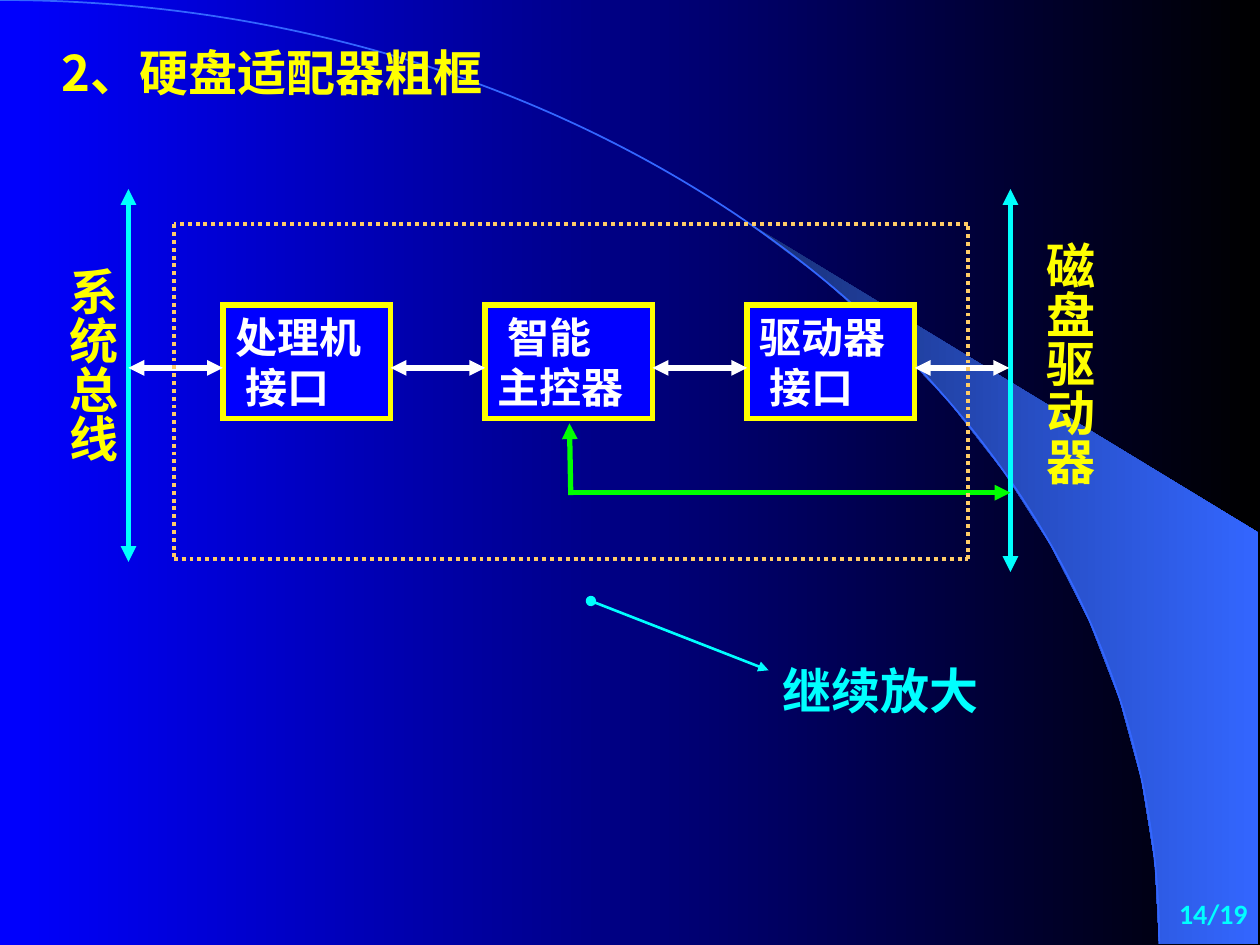
"""Build the slide that outlines the blocks of a hard disk adapter."""
from math import cos, radians, sin

from lxml import etree
from pptx import Presentation
from pptx.dml.color import RGBColor
from pptx.enum.dml import MSO_LINE
from pptx.enum.shapes import MSO_CONNECTOR, MSO_SHAPE
from pptx.enum.text import MSO_ANCHOR, PP_ALIGN
from pptx.oxml.ns import qn
from pptx.util import Inches, Pt

STRAIGHT = MSO_CONNECTOR.STRAIGHT
RECTANGLE = MSO_SHAPE.RECTANGLE
DOTTED = MSO_LINE.ROUND_DOT
TOP, MIDDLE = MSO_ANCHOR.TOP, MSO_ANCHOR.MIDDLE
LEFT, CENTER, RIGHT = PP_ALIGN.LEFT, PP_ALIGN.CENTER, PP_ALIGN.RIGHT
CJK, SERIF, SANS = "Noto Sans CJK SC", "Times New Roman", "Calibri"
YELLOW, CYAN, WHITE, BLUE = "FFFF00", "00FFFF", "FFFFFF", "0000FF"
GREEN, ORANGE, ARC_BLUE = "00FF00", "FFCC66", "3366FF"
rgb = RGBColor.from_string


def write(shape, lines, size, font, color, align=LEFT, anchor=TOP, vertical=False, wrap=True):
    """Fill a shape with (text, indent) lines in one format."""
    frame = shape.text_frame
    frame.text = "\n".join(text for text, _ in lines)
    side, end = Inches(0.1), Inches(0.05)
    if vertical:
        side = Inches(0.05)
        end = int((shape.height - Inches(0.39) * len(frame.text)) / 2)
        frame._txBody.bodyPr.set("vert", "eaVert")
    layout = {"word_wrap": wrap, "vertical_anchor": anchor,
              "margin_left": side, "margin_right": side,
              "margin_top": end, "margin_bottom": end}
    for key, value in layout.items():
        setattr(frame, key, value)
    for paragraph, (_, indent) in zip(frame.paragraphs, lines):
        paragraph.alignment = align
        paragraph.space_before = Pt(0)
        if indent:
            paragraph._p.get_or_add_pPr().set("marL", str(Inches(indent)))
        run_font = paragraph.runs[0].font
        for key, value in {"size": Pt(size), "name": font, "bold": True}.items():
            setattr(run_font, key, value)
        run_font.color.rgb = rgb(color)
        etree.SubElement(run_font._element, qn("a:ea"), typeface=CJK)


def connect(start, end, color, width, head=None, tail=None, dash=None):
    """Draw a straight line with optional ends and dashes."""
    link = slide.shapes.add_connector(STRAIGHT, *map(Inches, start + end))
    link.line.color.rgb = rgb(color)
    link.line.width = Pt(width)
    if dash:
        link.line.dash_style = dash
    for tag, kind in (("a:headEnd", head), ("a:tailEnd", tail)):
        if kind:
            etree.SubElement(link.line._ln, qn(tag), type=kind)
    etree.SubElement(link._element.spPr, qn("a:effectLst"))


presentation = Presentation()
presentation.slide_width, presentation.slide_height = Inches(10), Inches(7.5)
slide = presentation.slides.add_slide(presentation.slide_layouts[5])

ARC_WIDTH, ARC_HEIGHT = 9.2, 7.49
beam_edge = [(ARC_WIDTH * sin(radians(a)), ARC_HEIGHT * (1 - cos(radians(a))))
             for a in range(40, 91, 5)]
beam_points = beam_edge + [(9.99, ARC_HEIGHT), (9.99, 4.23)]
outlines = []
for points, closed in ((beam_points, True), ([(0, 0), (ARC_WIDTH, ARC_HEIGHT)], False)):
    start, *others = [(Inches(x), Inches(y)) for x, y in points]
    builder = slide.shapes.build_freeform(*start)
    builder.add_line_segments(others, close=closed)
    outlines.append(builder.convert_to_shape())
    outlines[-1].shadow.inherit = False
beam, horizon = outlines
beam.line.fill.background()
horizon.fill.background()
horizon.line.color.rgb = rgb(ARC_BLUE)
horizon.line.width = Pt(1)
curve = horizon._element.spPr.find(".//" + qn("a:lnTo"))
curve.tag = qn("a:cubicBezTo")
for i, (x, y) in enumerate([(5.08, 0), (ARC_WIDTH, 3.35)]):
    curve.insert(i, etree.Element(qn("a:pt"), x=str(Inches(x)), y=str(Inches(y))))

for fill, colors in ((slide.background.fill, (BLUE, "000000")),
                     (beam.fill, ("182F76", ARC_BLUE))):
    fill.gradient()
    fill.gradient_angle = 0
    for stop, color in zip(fill.gradient_stops, colors):
        stop.color.rgb = rgb(color)

title = slide.shapes.title
title._element.getparent().append(title._element)
for key, value in {"left": 0.39, "top": 0.29, "width": 5, "height": 0.57}.items():
    setattr(title, key, Inches(value))
write(title, [("2、硬盘适配器粗框", 0)], 28, CJK, YELLOW)

BLOCK_LEFT, BLOCK_WIDTH, BLOCK_PITCH = 1.77, 1.33, 2.08
blocks = [[("处理机", 0), ("接口", 0.08)],
          [("智能", 0.08), ("主控器", 0)],
          [("驱动器", 0), ("接口", 0.08)]]
for i, lines in enumerate(blocks):
    block = slide.shapes.add_shape(RECTANGLE, Inches(BLOCK_LEFT + i * BLOCK_PITCH),
                                   Inches(2.42), Inches(BLOCK_WIDTH), Inches(0.9))
    block.shadow.inherit = False
    block.fill.solid()
    block.fill.fore_color.rgb = rgb(BLUE)
    block.line.color.rgb = rgb(YELLOW)
    block.line.width = Pt(3)
    etree.SubElement(block.line._ln, qn("a:miter"), lim="800000")
    write(block, lines, 24, CJK, WHITE)

labels = [
    ("系统总线", (0.36, 2.03, 0.66, 1.75), 28, SERIF, YELLOW, CENTER, TOP, True, True),
    ("磁盘驱动器", (8.11, 1.73, 0.66, 2.33), 28, SERIF, YELLOW, CENTER, TOP, True, True),
    ("继续放大", (6.11, 5.19, 1.75, 0.57), 28, SERIF, CYAN, CENTER, TOP, False, False),
    ("14/19", (7.92, 7, 2.08, 0.5), 16, SANS, CYAN, RIGHT, MIDDLE, False, True),
]
for text, box, *style in labels:
    write(slide.shapes.add_textbox(*map(Inches, box)), [(text, 0)], *style)

BUS_X, DRIVE_X = 1.02, 8.02
for x, bottom in ((BUS_X, 4.46), (DRIVE_X, 4.54)):
    connect((x, 1.5), (x, bottom), CYAN, 3, "triangle", "triangle")
for i in range(4):
    x = BUS_X + i * BLOCK_PITCH
    connect((x, 2.92), (x + 0.75, 2.92), WHITE, 3, "triangle", "triangle")

connect((4.52, 3.36), (4.53, 3.93), GREEN, 3, head="triangle")
connect((4.52, 3.91), (DRIVE_X, 3.91), GREEN, 3, tail="triangle")

corners = [(1.38, 1.78), (1.38, 4.44), (7.68, 4.44), (7.68, 1.78)]
for start, end in zip(corners, corners[1:] + corners[:1]):
    connect(start, end, ORANGE, 2.25, dash=DOTTED)

connect((4.69, 4.77), (6.1, 5.32), CYAN, 1.5, "oval", "triangle")

presentation.save("out.pptx")
